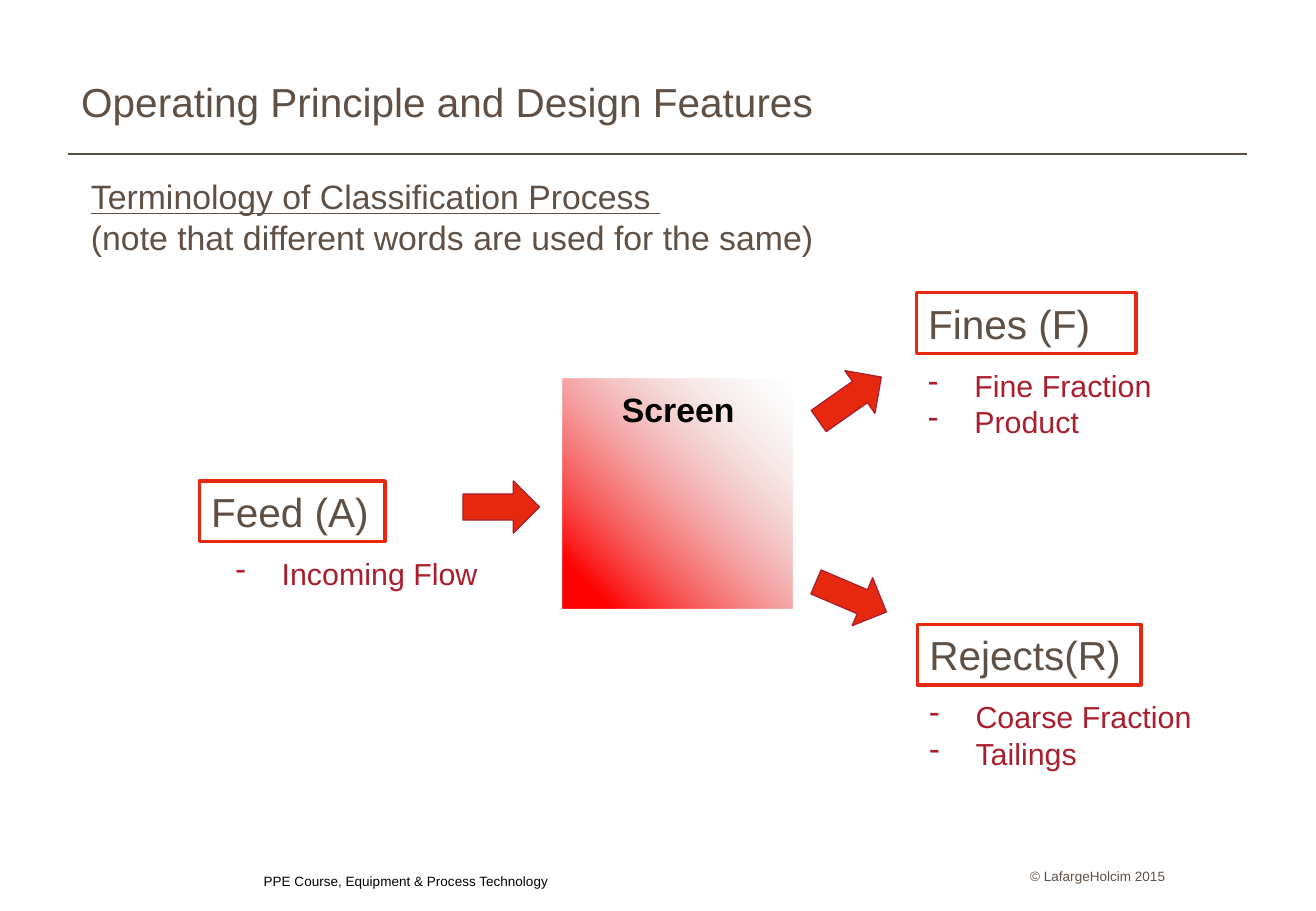
from lxml import etree
from pptx import Presentation
from pptx.dml.color import RGBColor
from pptx.enum.shapes import MSO_CONNECTOR, MSO_SHAPE
from pptx.enum.text import MSO_ANCHOR as ANCHOR, PP_ALIGN as ALIGN
from pptx.oxml.ns import qn
from pptx.util import Pt

PX = 9144  # 100 px to the inch
THEME = {
    "font": "Arial",
    "brown": RGBColor(0x5F, 0x50, 0x46),
    "red": RGBColor(0xE6, 0x28, 0x0F),
    "crimson": RGBColor(0xAA, 0x1E, 0x2D),
    "black": RGBColor(0, 0, 0),
    "fade": RGBColor(0xD9, 0xD9, 0xD9),
    "hot": RGBColor(0xFF, 0, 0),
    "title": Pt(24), "heading": Pt(20), "term": Pt(18), "footer": Pt(8),
}


def px(*lengths):
    return [length * PX for length in lengths]


def write(box, lines, size, color, bullet=None, align=ALIGN.LEFT, frame_format=None, **font_format):
    frame = box.text_frame
    for name, value in {"word_wrap": True, "vertical_anchor": ANCHOR.TOP, **(frame_format or {})}.items():
        setattr(frame, name, value)
    for index, line in enumerate(lines):
        para = frame.paragraphs[0] if index == 0 else frame.add_paragraph()
        para.alignment = align
        if bullet:
            props = para._p.get_or_add_pPr()
            props.set("marL", str(38 * PX))
            props.set("indent", str(-38 * PX))
            etree.SubElement(props, qn("a:buChar")).set("char", bullet)
        span = para.add_run()
        span.text = line
        span.font.color.rgb = THEME[color]
        for name, value in {"name": THEME["font"], "size": THEME[size], **font_format}.items():
            setattr(span.font, name, value)


deck = Presentation()
deck.slide_width, deck.slide_height = px(1083, 750)
page = deck.slides.add_slide(deck.slide_layouts[6])
shapes = page.shapes

# Title and rule
title = shapes.add_textbox(*px(57, 21, 969, 93))
write(title, ["Operating Principle and Design Features"], "title", "brown",
      frame_format={"vertical_anchor": ANCHOR.BOTTOM,
                    "margin_top": 10 * PX, "margin_bottom": 10 * PX})
title.text_frame.paragraphs[0].line_spacing = 0.95
rule = shapes.add_connector(MSO_CONNECTOR.STRAIGHT, *px(56, 127, 1026, 127))
rule.line.color.rgb = THEME["brown"]
rule.line.width = Pt(1)
etree.SubElement(rule._element.spPr, qn("a:effectLst"))

# Footer
flush = {"vertical_anchor": ANCHOR.BOTTOM, "margin_left": 0, "margin_right": 0,
         "margin_top": 0, "margin_bottom": 0}
for area, line, color, align in [
    ((827, 710, 132, 18), "© LafargeHolcim 2015", "brown", ALIGN.RIGHT),
    ((217, 714, 403, 18), "PPE Course, Equipment & Process Technology", "black", ALIGN.LEFT),
]:
    write(shapes.add_textbox(*px(*area)), [line], "footer", color, align=align, frame_format=flush)

# Heading
heading = shapes.add_textbox(*px(65, 140, 858, 77))
write(heading, ["Terminology of Classification Process ",
                "(note that different words are used for the same)"], "heading", "brown")
heading.text_frame.paragraphs[0].runs[0].font.underline = True

# Screen with a gradient that fades out to the top right
screen = shapes.add_shape(MSO_SHAPE.RECTANGLE, *px(463, 312, 189, 189))
screen.shadow.inherit = False
screen.line.fill.background()
screen.fill.gradient()
screen.fill.gradient_angle = 225
for stop, (position, color) in zip(screen.fill.gradient_stops, [(0, "fade"), (0.9, "hot")]):
    stop.position = position
    stop.color.rgb = THEME[color]
fade_color = screen._element.spPr.find(".//" + qn("a:srgbClr"))
etree.SubElement(fade_color, qn("a:alpha")).set("val", "0")
write(shapes.add_textbox(*px(502, 315, 114, 44)), ["Screen"], "heading", "black",
      frame_format={"word_wrap": False}, bold=True)

# Flow arrows
for left, top, rotation in [(381, 396, 0), (668, 307, 324.9), (669, 470, 23.1)]:
    arrow = shapes.add_shape(MSO_SHAPE.RIGHT_ARROW, *px(left, top, 63, 43))
    arrow.shadow.inherit = False
    arrow.rotation = rotation
    arrow.fill.solid()
    arrow.fill.fore_color.rgb = THEME["red"]
    arrow.line.color.rgb = THEME["crimson"]
    arrow.line.width = Pt(0.75)

# Streams: framed name with its other terms below
for name, (left, top, width), terms, (terms_left, terms_width) in [
    ("Feed (A)", (164, 396, 153), ["Incoming Flow"], (184, 240)),
    ("Fines (F)", (754, 241, 181), ["Fine Fraction", "Product"], (754, 300)),
    ("Rejects(R)", (755, 514, 184), ["Coarse Fraction", "Tailings"], (755, 240)),
]:
    label = shapes.add_shape(MSO_SHAPE.RECTANGLE, *px(left, top, width, 50))
    label.shadow.inherit = False
    label.fill.background()
    label.line.color.rgb = THEME["red"]
    label.line.width = Pt(2)
    write(label, [name], "title", "brown")
    term_box = shapes.add_textbox(*px(terms_left, top + 56, terms_width, 10 + 30 * len(terms)))
    write(term_box, terms, "term", "crimson", bullet="-")

deck.save("out.pptx")
